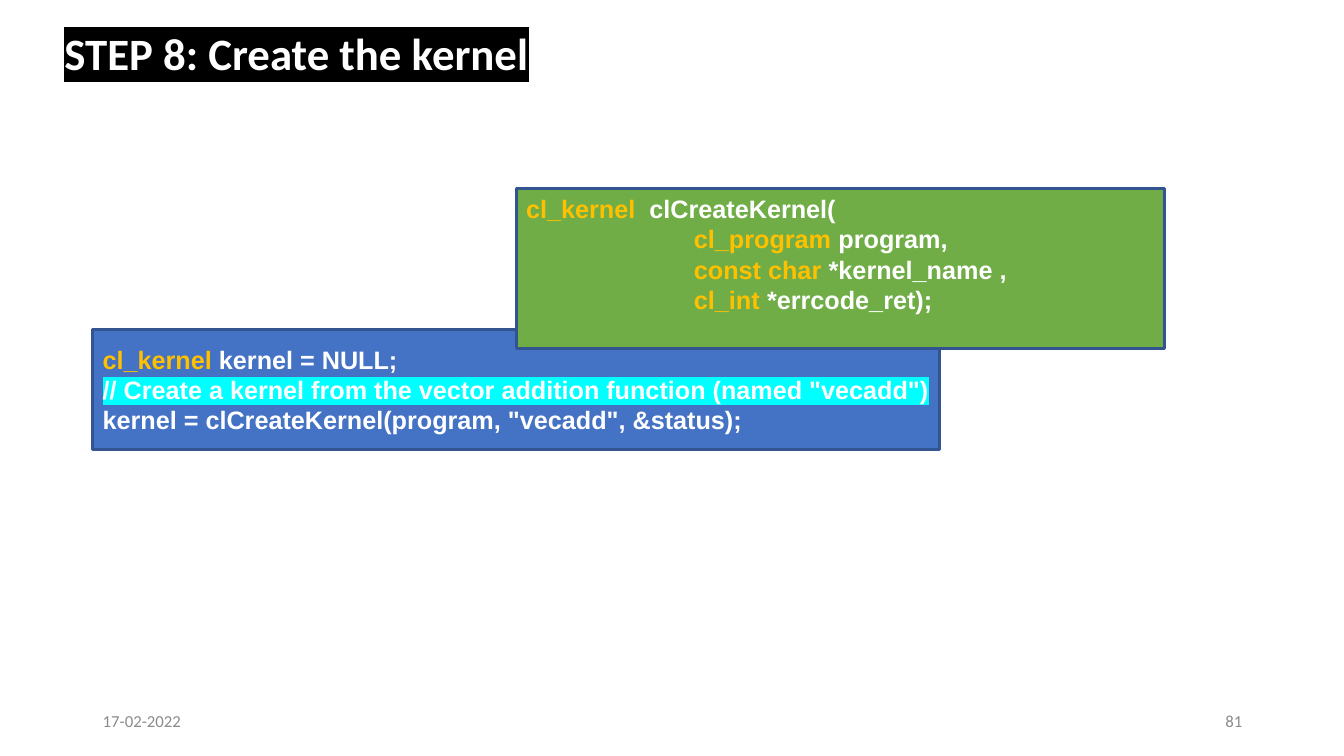
from lxml import etree
from pptx import Presentation
from pptx.dml.color import RGBColor
from pptx.enum.shapes import MSO_SHAPE
from pptx.enum.text import MSO_ANCHOR, PP_ALIGN
from pptx.oxml.ns import qn
from pptx.util import Inches, Pt

LEFT, RIGHT = PP_ALIGN.LEFT, PP_ALIGN.RIGHT
MIDDLE, TOP = MSO_ANCHOR.MIDDLE, MSO_ANCHOR.TOP
RECTANGLE = MSO_SHAPE.RECTANGLE

WHITE = RGBColor(0xFF, 0xFF, 0xFF)
BLACK = RGBColor(0x00, 0x00, 0x00)
GREY = RGBColor(0x8B, 0x8B, 0x8B)
AMBER = RGBColor(0xFF, 0xC0, 0x00)
CYAN = RGBColor(0x00, 0xFF, 0xFF)
BLUE = RGBColor(0x44, 0x72, 0xC4)
GREEN = RGBColor(0x70, 0xAD, 0x47)
OUTLINE = RGBColor(0x32, 0x54, 0x91)


def style(para, name, size, color, bold=False):
    para.font.name = name
    para.font.size = Pt(size)
    para.font.bold = bold
    para.font.color.rgb = color


def highlight(span, color):
    """Put a marker colour behind the text of a run."""
    marker = etree.SubElement(span.font._element, qn("a:highlight"))
    etree.SubElement(marker, qn("a:srgbClr"), val=str(color))


deck = Presentation()
deck.slide_width = Inches(13.33)
deck.slide_height = Inches(7.5)
page = deck.slides.add_slide(deck.slide_layouts[6])

# Footer
for left, text, alignment in [(0.92, "17-02-2022", LEFT), (9.42, "81", RIGHT)]:
    box = page.shapes.add_textbox(Inches(left), Inches(6.95), Inches(3), Inches(0.4))
    box.text_frame.word_wrap = True
    box.text_frame.vertical_anchor = MIDDLE
    para = box.text_frame.paragraphs[0]
    para.text = text
    para.alignment = alignment
    style(para, "Calibri", 12, GREY)

# Title: the tab carries the black band past the last word
title = page.shapes.add_textbox(Inches(0.54), Inches(0.14), Inches(11.5), Inches(0.82))
title.text_frame.word_wrap = True
title.text_frame.vertical_anchor = MIDDLE
para = title.text_frame.paragraphs[0]
para.line_spacing = 0.9
tabs = etree.SubElement(para._p.get_or_add_pPr(), qn("a:tabLst"))
etree.SubElement(tabs, qn("a:tab"), pos=str(Inches(4.91)), algn="l")
style(para, "Calibri", 32, WHITE, bold=True)
span = para.add_run()
span.text = "STEP 8: Create the kernel\t"
highlight(span, BLACK)

# Code boxes: each line is (indent, type name, rest of the line)
INDENT = " " * 24
call_lines = [
    ("", "cl_kernel ", "kernel = NULL;"),
    ("", "", '// Create a kernel from the vector addition function (named "vecadd")'),
    ("", "", 'kernel = clCreateKernel(program, "vecadd", &status);'),
]
signature_lines = [
    ("", "cl_kernel  ", "clCreateKernel("),
    (INDENT, "cl_program ", "program,"),
    (INDENT, "const char ", "*kernel_name ,"),
    (INDENT, "cl_int ", "*errcode_ret);"),
]
code_boxes = [
    (0.92, 3.27, 8.4, 1.19, BLUE, MIDDLE, call_lines),
    (5.12, 1.87, 6.43, 1.59, GREEN, TOP, signature_lines),
]
for left, top, width, height, fill, anchor, lines in code_boxes:
    box = page.shapes.add_shape(
        RECTANGLE, Inches(left), Inches(top), Inches(width), Inches(height))
    box.shadow.inherit = False
    box.fill.solid()
    box.fill.fore_color.rgb = fill
    box.line.color.rgb = OUTLINE
    box.line.width = Pt(2)
    frame = box.text_frame
    frame.word_wrap = True
    frame.vertical_anchor = anchor
    for number, (indent, type_name, rest) in enumerate(lines):
        para = frame.add_paragraph() if number else frame.paragraphs[0]
        para.alignment = LEFT
        style(para, "Arial", 18, WHITE, bold=True)
        if type_name:
            span = para.add_run()
            span.text = indent + type_name
            span.font.color.rgb = AMBER
        span = para.add_run()
        span.text = rest
        if rest.startswith("//"):
            highlight(span, CYAN)

deck.save("out.pptx")
